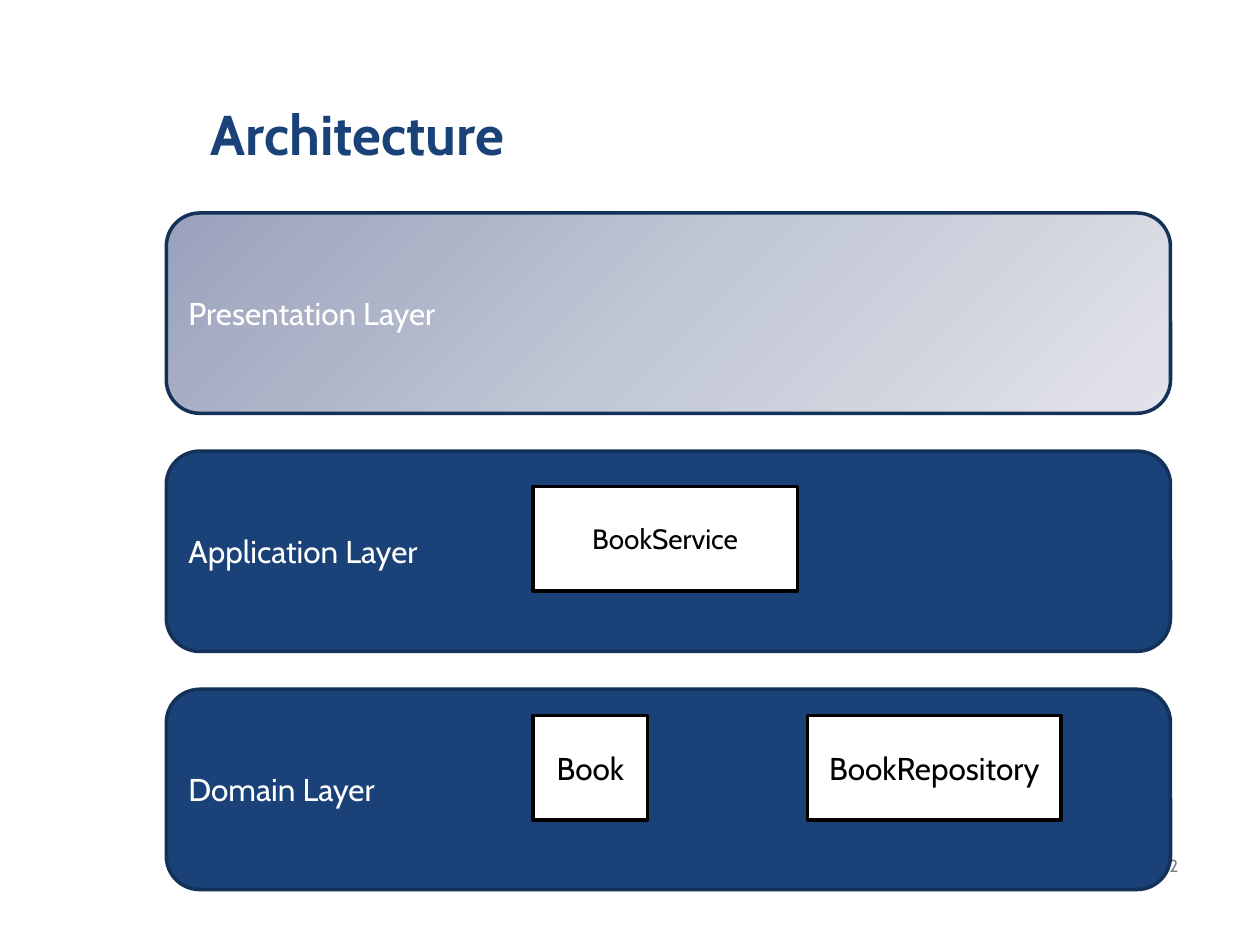
from copy import deepcopy

from pptx import Presentation
from pptx.dml.color import RGBColor
from pptx.enum.shapes import MSO_SHAPE
from pptx.enum.text import MSO_ANCHOR, PP_ALIGN
from pptx.oxml.ns import qn
from pptx.util import Inches, Pt

NAVY, NAVY_EDGE, WHITE, BLACK, GREY = "1A4278", "133159", "FFFFFF", "000000", "7F7F7F"
FADED = ("9AA2BC", "C2C7D5", "E2E3EA")
LAYER_LEFT, LAYER_TOP, LAYER_WIDTH, LAYER_HEIGHT, LAYER_PITCH = 1.32, 1.69, 7.97, 1.59, 1.89
CLASS_HEIGHT = 0.83

LAYERS = [
    ("Presentation Layer", FADED, []),
    ("Application Layer", NAVY, [("BookService", 2.91, 0.28, 2.1, 16)]),
    ("Domain Layer", NAVY, [("Book", 2.91, 0.21, 0.91, 18),
                            ("BookRepository", 5.09, 0.21, 2.01, 18)]),
]


def color(hex_value):
    """Turn a hex string into a colour."""
    return RGBColor.from_string(hex_value)


def write(shape, words, size, hex_value, align, bold=False):
    """Put one formatted, vertically centred line into a shape."""
    frame = shape.text_frame
    frame.word_wrap = True
    frame.vertical_anchor = MSO_ANCHOR.MIDDLE
    line = frame.paragraphs[0]
    line.text = words
    line.alignment = align
    for name, value in {"name": "Cabin", "size": Pt(size), "bold": bold}.items():
        setattr(line.font, name, value)
    line.font.color.rgb = color(hex_value)


def paint(shape, fill):
    """Fill a shape with one colour or a three-colour diagonal gradient."""
    if isinstance(fill, str):
        shape.fill.solid()
        shape.fill.fore_color.rgb = color(fill)
        return
    shape.fill.gradient()
    shape.fill.gradient_angle = 315
    stop_list = shape._element.spPr.find(qn("a:gradFill")).find(qn("a:gsLst"))
    stop_list.insert(1, deepcopy(stop_list[0]))
    for stop, position, hex_value in zip(shape.fill.gradient_stops, (0, 0.5, 1), fill):
        stop.position = position
        stop.color.rgb = color(hex_value)


def add_box(slide, kind, box, fill, edge):
    """Add an outlined shape without shadow."""
    shape = slide.shapes.add_shape(kind, *map(Inches, box))
    shape.shadow.inherit = False
    paint(shape, fill)
    shape.line.color.rgb = color(edge)
    shape.line.width = Pt(2)
    return shape


def add_title(slide, box):
    """Place and format the title placeholder."""
    title = slide.shapes.title
    for name, value in zip(("left", "top", "width", "height"), box):
        setattr(title, name, Inches(value))
    write(title, "Architecture", 32, NAVY, PP_ALIGN.LEFT, bold=True)


def add_page_number(slide, box):
    """Add the page number."""
    number = slide.shapes.add_textbox(*map(Inches, box))
    write(number, "2", 10, GREY, PP_ALIGN.RIGHT)


def add_layer(slide, box, label, fill, classes):
    """Add a layer band and the classes inside it."""
    left, top = box[:2]
    band = add_box(slide, MSO_SHAPE.ROUNDED_RECTANGLE, box, fill, NAVY_EDGE)
    write(band, label, 18, WHITE, PP_ALIGN.LEFT)
    for class_name, dx, dy, width, size in classes:
        class_box = (left + dx, top + dy, width, CLASS_HEIGHT)
        card = add_box(slide, MSO_SHAPE.RECTANGLE, class_box, WHITE, BLACK)
        write(card, class_name, size, BLACK, PP_ALIGN.CENTER)


def main():
    """Build the architecture slide."""
    deck = Presentation()
    deck.slide_width, deck.slide_height = Inches(10), Inches(7.5)
    slide = deck.slides.add_slide(deck.slide_layouts[5])
    add_page_number(slide, (8.87, 6.75, 0.58, 0.24))
    add_title(slide, (1.57, 0.57, 7.87, 0.98))
    for row, layer in enumerate(LAYERS):
        box = (LAYER_LEFT, LAYER_TOP + row * LAYER_PITCH, LAYER_WIDTH, LAYER_HEIGHT)
        add_layer(slide, box, *layer)
    deck.save("out.pptx")


if __name__ == "__main__":
    main()
